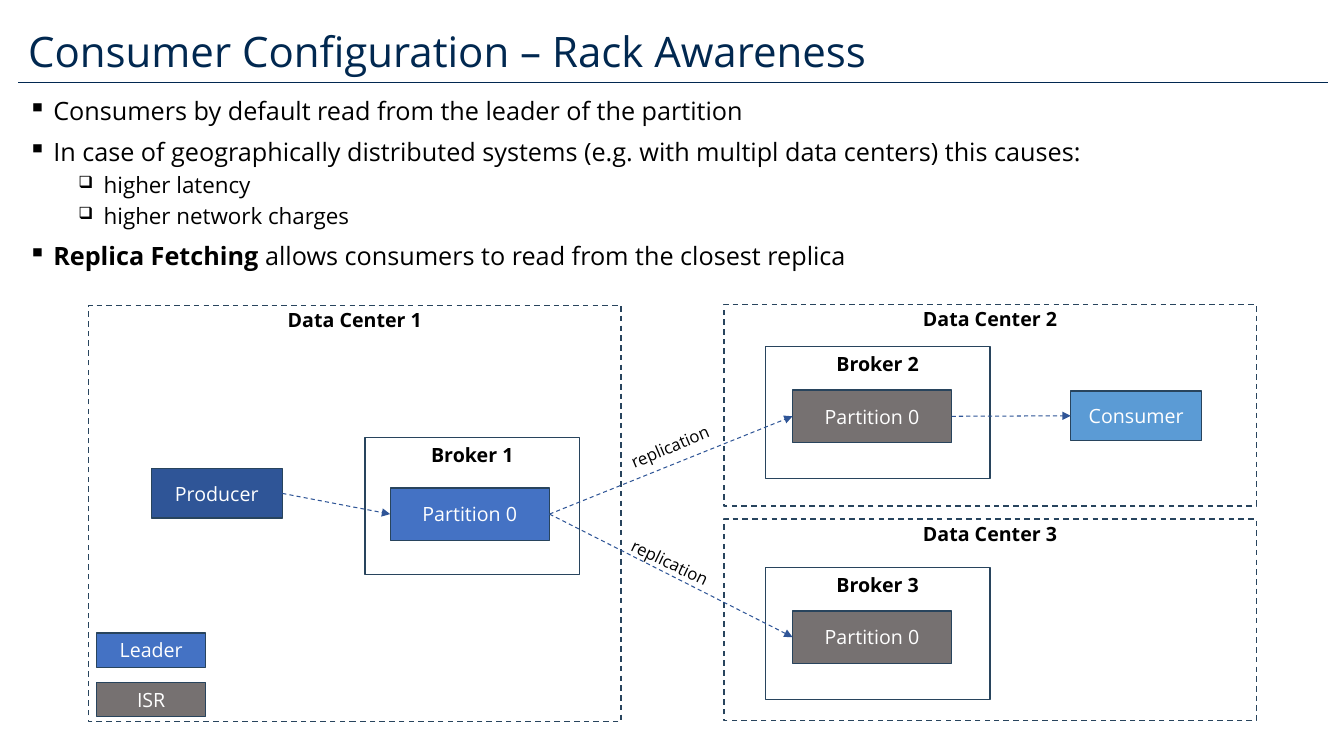
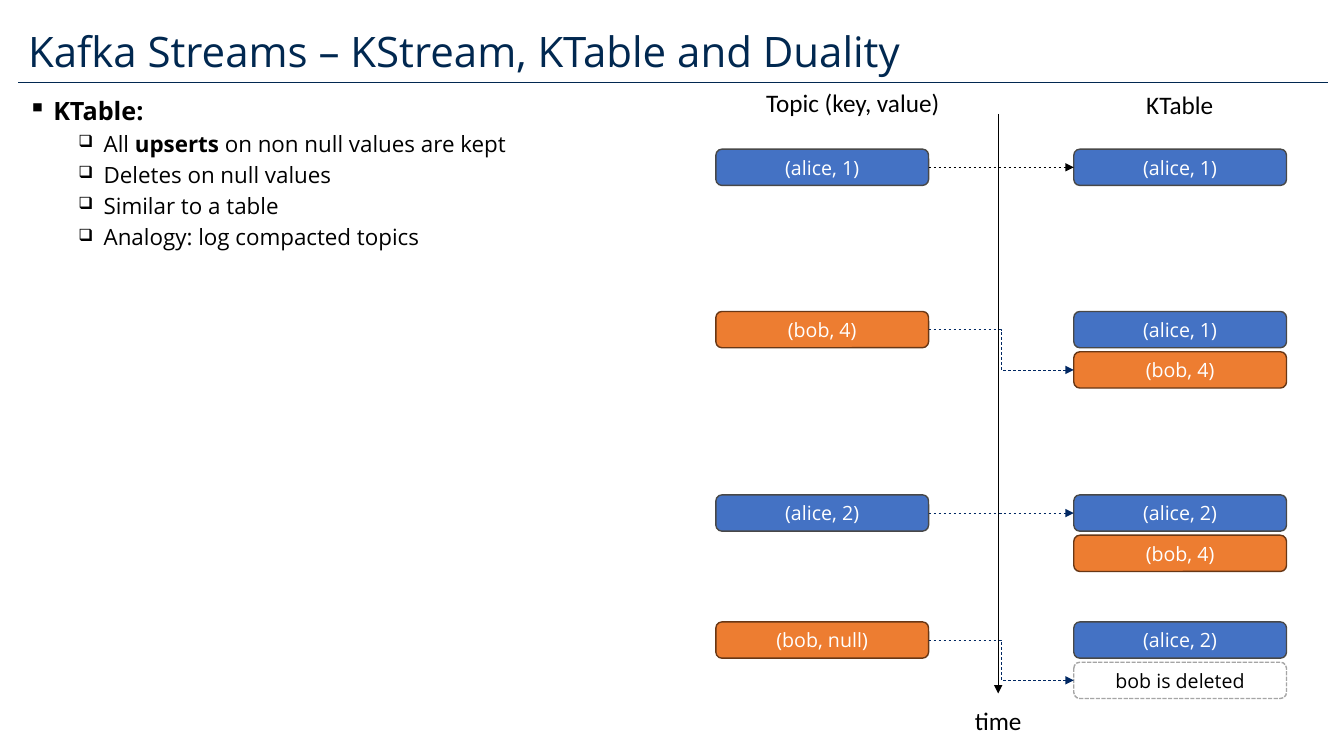
import lxml.etree
import pptx
import pptx.dml.color
import pptx.enum.dml
import pptx.enum.shapes
import pptx.enum.text
import pptx.oxml.ns
import pptx.util

Inches, Pt = pptx.util.Inches, pptx.util.Pt
SHAPE = pptx.enum.shapes.MSO_SHAPE
LINK = pptx.enum.shapes.MSO_CONNECTOR
DASH = pptx.enum.dml.MSO_LINE
ANCHOR = pptx.enum.text.MSO_ANCHOR
ALIGN = pptx.enum.text.PP_ALIGN
TOP, LEFT, BOTTOM, RIGHT = range(4)

COLORS = {
    "title": "012850", "rule": "012851", "black": "000000", "white": "FFFFFF",
    "edge": "28445D", "arrow": "2F5597", "leader": "4472C4", "isr": "767171",
    "client": "5B9BD5", "bob": "ED7D31", "bob edge": "683715",
    "alice edge": "484848", "flow": "012863", "gone": "A5A5A5",
}
FONT = "Open Sans"
HEAD = (0.18, 0.24, 12.99, 0.58)
BODY = (0.18, 0.93, 12.99, 6.33)
# Per level: bullet, bullet size in percent, left margin, space before, text size
LEVELS = [("▪", 100, 0.25, 10, 18), ("❑", 75, 0.75, 5, 16)]


def color(name):
    return pptx.dml.color.RGBColor.from_string(COLORS[name])


def style(par, size, tint="black", bold=None, face=FONT):
    font = par.font
    font.size, font.name, font.bold = Pt(size), face, bold
    font.color.rgb = color(tint)


def label(slide, box, text, size=14, bold=None, align=ALIGN.CENTER,
          tint="black", face=FONT, turn=0):
    shape = slide.shapes.add_textbox(*map(Inches, box))
    shape.rotation = turn
    shape.text_frame.word_wrap = True
    par = shape.text_frame.paragraphs[0]
    par.text, par.alignment = text, align
    style(par, size, tint, bold, face)
    return shape


def block(slide, box, text="", fill=None, edge="edge", tint="white",
          kind=SHAPE.RECTANGLE, dash=None):
    shape = slide.shapes.add_shape(kind, *map(Inches, box))
    shape.shadow.inherit = False
    if fill:
        shape.fill.solid()
        shape.fill.fore_color.rgb = color(fill)
    else:
        shape.fill.background()
    shape.line.color.rgb = color(edge)
    shape.line.width = Pt(1)
    if dash:
        shape.line.dash_style = dash
    if text:
        frame = shape.text_frame
        frame.vertical_anchor = ANCHOR.MIDDLE
        par = frame.paragraphs[0]
        par.text, par.alignment = text, ALIGN.CENTER
        style(par, 14, tint)
    return shape


def line(slide, ends, tint, width=0.5, dash=None, arrow=True, kind=LINK.STRAIGHT):
    link = slide.shapes.add_connector(kind, *map(Inches, ends))
    link.line.color.rgb = color(tint)
    link.line.width = Pt(width)
    if dash:
        link.line.dash_style = dash
    name = pptx.oxml.ns.qn
    if arrow:
        lxml.etree.SubElement(link.line._get_or_add_ln(), name("a:tailEnd"), type="triangle")
    lxml.etree.SubElement(link._element.spPr, name("a:effectLst"))
    return link


def join(slide, start, end, tint, width=0.5, kind=LINK.STRAIGHT):
    """Dashed arrow from the right side of one box to the left side of another."""
    link = line(slide, (0, 0, 1, 1), tint, width, DASH.DASH, kind=kind)
    link.begin_connect(start, RIGHT)
    link.end_connect(end, LEFT)


def bullets(slide, box, items):
    """Items are (level, text); asterisks enclose bold words."""
    frame = slide.shapes.add_textbox(*map(Inches, box)).text_frame
    frame.word_wrap = True
    for i, (level, text) in enumerate(items):
        par = frame.paragraphs[0] if i == 0 else frame.add_paragraph()
        mark, scale, margin, space, size = LEVELS[level]
        par.level, par.line_spacing = level, 0.9
        par.space_before = Pt(space if i else 0)
        props = par._p.get_or_add_pPr()
        props.set("marL", str(Inches(margin)))
        props.set("indent", str(-Inches(0.25)))
        name = pptx.oxml.ns.qn
        lxml.etree.SubElement(props, name("a:buSzPct"), val=str(scale * 1000))
        lxml.etree.SubElement(props, name("a:buChar"), char=mark)
        style(par, size)
        for j, part in enumerate(text.split("*")):
            if part:
                run = par.add_run()
                run.text = part
                if j % 2:
                    run.font.bold = True


def page(deck, title, items):
    """Title, rule and bullets shared by all slides."""
    slide = deck.slides.add_slide(deck.slide_layouts[6])
    line(slide, (0.18, 0.82, 13.17, 0.82), "rule", arrow=False)
    head = label(slide, HEAD, title, 30, align=ALIGN.LEFT, tint="title")
    head.text_frame.vertical_anchor = ANCHOR.MIDDLE
    head.text_frame.paragraphs[0].line_spacing = 0.9
    bullets(slide, BODY, items)
    return slide


def center(slide, box, text):
    """Dashed data center frame with its name on top."""
    x, y, w, h = box
    block(slide, box, dash=DASH.DASH)
    label(slide, (x, y - 0.02, w, 0.34), text, bold=True)


def broker(slide, box, text, fill, dx, dy):
    """Broker frame; returns the partition inside it."""
    x, y, w, h = box
    block(slide, box, fill="white")
    label(slide, (x, y, w, 0.34), text, bold=True)
    return block(slide, (x + dx, y + dy, 1.58, 0.52), "Partition 0", fill)


def racks(slide):
    # Data centers
    center(slide, (0.88, 3.03, 5.28, 4.13), "Data Center 1")
    for i in range(2):
        center(slide, (7.18, 3.02 + 2.13 * i, 5.28, 2), f"Data Center {i + 2}")
    # Brokers with their partitions
    leader = broker(slide, (3.62, 4.34, 2.13, 1.36), "Broker 1", "leader", 0.25, 0.5)
    copies = [broker(slide, (7.59, 3.44 + 2.19 * i, 2.23, 1.31),
                     f"Broker {i + 2}", "isr", 0.27, 0.43) for i in range(2)]
    # Clients
    maker = block(slide, (1.5, 4.65, 1.3, 0.49), "Producer", "arrow")
    reader = block(slide, (10.62, 3.88, 1.3, 0.49), "Consumer", "client")
    # Data flow
    pairs = [(maker, leader), (copies[0], reader)] + [(leader, c) for c in copies]
    for start, end in pairs:
        join(slide, start, end, "arrow", 0.75)
    for y, turn in ((4.28, -22.9), (5.43, 25.6)):
        label(slide, (6.11, y, 1.07, 0.3), "replication", 12, turn=turn)
    # Legend
    for i, (text, fill) in enumerate((("Leader", "leader"), ("ISR", "isr"))):
        block(slide, (0.96, 6.28 + 0.49 * i, 1.08, 0.34), text, fill)


def record(slide, x, y, text):
    """Rounded box coloured by its key."""
    box = (x, y, 2.11, 0.36)
    kind = SHAPE.ROUNDED_RECTANGLE
    if text.startswith("(alice"):
        return block(slide, box, text, "leader", "alice edge", kind=kind)
    if text.startswith("(bob"):
        return block(slide, box, text, "bob", "bob edge", kind=kind)
    return block(slide, box, text, "white", "gone", "black", kind, DASH.SQUARE_DOT)


def stream(slide, x, y):
    # Headings and time axis
    for dx, dy, w, text in ((0.4, 0, 1.96, "Topic (key, value)"),
                            (4.17, 0.02, 1.34, "KTable"), (2.47, 6.13, 1.34, "time")):
        label(slide, (x + dx, y + dy, w, 0.4), text, 18, align=ALIGN.LEFT, face="Calibri")
    line(slide, (x + 2.8, y + 0.31, x + 2.8, y + 6.06), "black")
    # Events: offset, topic record, table rows, row changed
    events = [
        (0.66, "(alice, 1)", ["(alice, 1)"], 0),
        (2.27, "(bob, 4)", ["(alice, 1)", "(bob, 4)"], 1),
        (4.09, "(alice, 2)", ["(alice, 2)", "(bob, 4)"], 0),
        (5.35, "(bob, null)", ["(alice, 2)", "bob is deleted"], 1),
    ]
    for i, (dy, text, rows, hit) in enumerate(events):
        event = record(slide, x, y + dy, text)
        table = [record(slide, x + 3.55, y + dy + 0.4 * j, row)
                 for j, row in enumerate(rows)]
        tint, kind = ("flow", LINK.ELBOW) if i else ("black", LINK.STRAIGHT)
        join(slide, event, table[hit], tint, kind=kind)


def main():
    deck = pptx.Presentation()
    deck.slide_width, deck.slide_height = Inches(13.33), Inches(7.5)
    racks(page(deck, "Consumer Configuration – Rack Awareness", [
        (0, "Consumers by default read from the leader of the partition"),
        (0, "In case of geographically distributed systems (e.g. with multipl "
            "data centers) this causes:"),
        (1, "higher latency"),
        (1, "higher network charges"),
        (0, "*Replica Fetching* allows consumers to read from the closest replica"),
    ]))
    stream(page(deck, "Kafka Streams – KStream, KTable and Duality", [
        (0, "*KTable:*"),
        (1, "All *upserts* on non null values are kept"),
        (1, "Deletes on null values"),
        (1, "Similar to a table"),
        (1, "Analogy: log compacted topics"),
    ]), 7.1, 0.82)
    deck.save("out.pptx")


if __name__ == "__main__":
    main()
